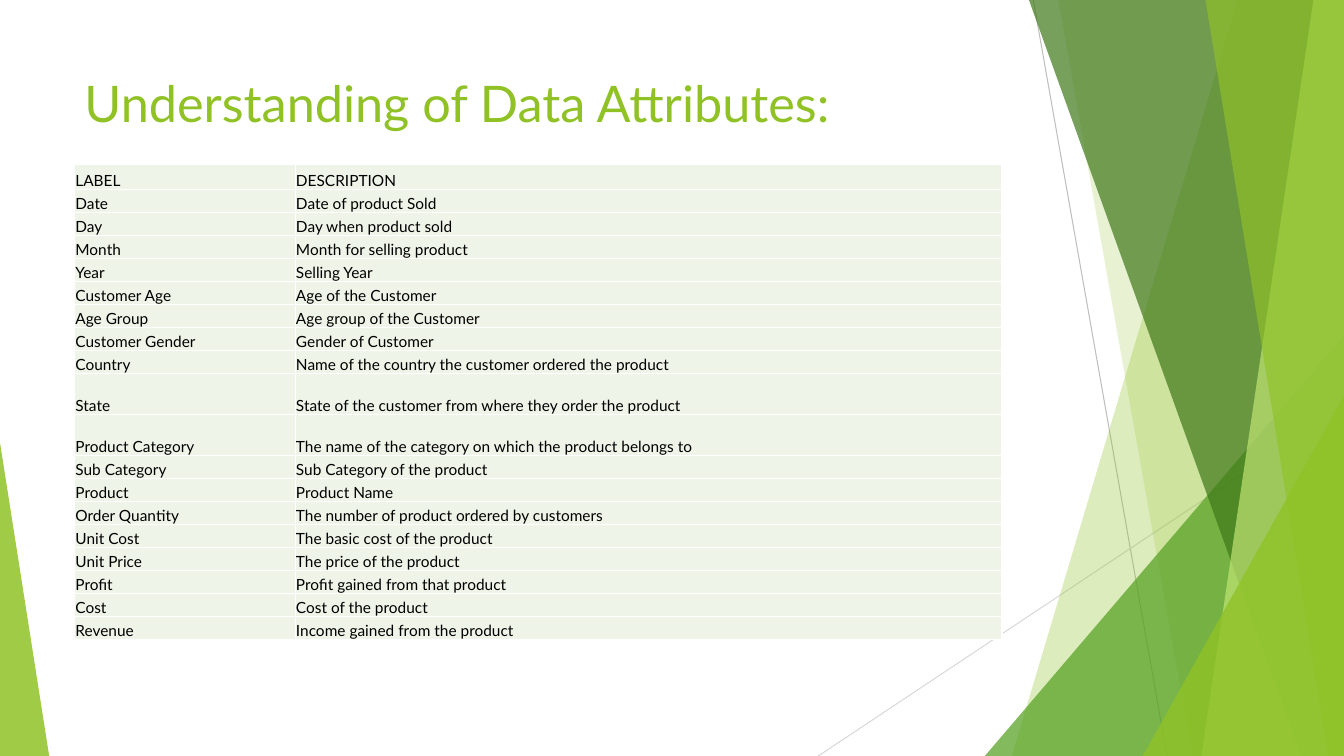
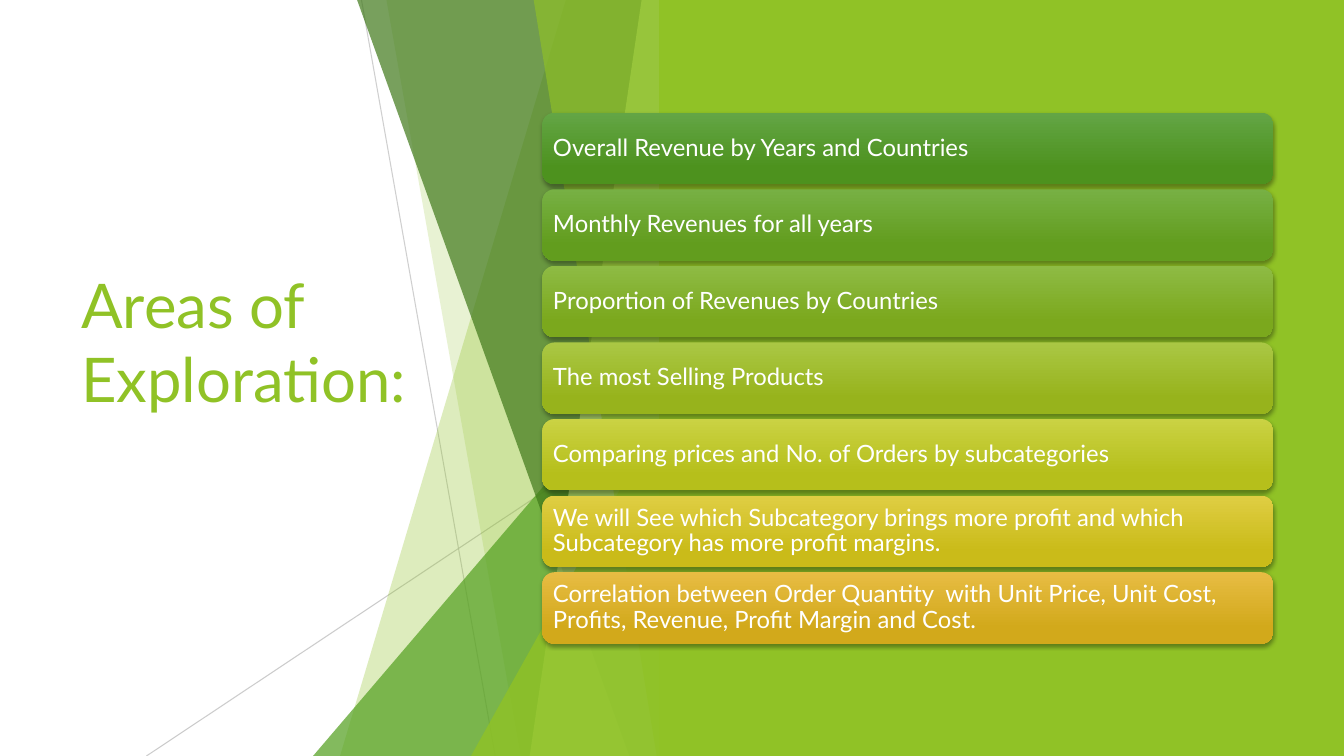
from dataclasses import dataclass

from lxml.etree import SubElement
from pptx import Presentation
from pptx.dml.color import RGBColor
from pptx.enum.shapes import MSO_CONNECTOR, MSO_SHAPE
from pptx.enum.text import MSO_ANCHOR
from pptx.oxml.ns import qn
from pptx.util import Cm, Pt


@dataclass(frozen=True)
class Theme:
    font: str = "Lato"
    lime: str = "90C226"
    leaf: str = "54A021"
    forest: str = "3F7819"
    pale: str = "C0E474"
    white: str = "FFFFFF"
    black: str = "000000"
    row: str = "EEF4E8"
    gray: str = "BFBFBF"
    light_gray: str = "D9D9D9"
    title_size: int = 36
    side_title_size: int = 44
    table_size: int = 11
    card_size: int = 17


theme = Theme()


def paint(fill, color, opacity=100):
    fill.solid()
    fill.fore_color.rgb = RGBColor.from_string(color)
    if opacity < 100:
        tint = fill._xPr.find(".//" + qn("a:srgbClr"))
        SubElement(tint, qn("a:alpha"), val=str(opacity * 1000))


def write(frame, text, size, color, anchor):
    frame.text = text
    frame.word_wrap = True
    frame.vertical_anchor = anchor
    font = frame.paragraphs[0].runs[0].font
    font.name = theme.font
    font.size = Pt(size)
    font.color.rgb = RGBColor.from_string(color)


deck = Presentation()
deck.slide_width, deck.slide_height = Cm(33.87), Cm(19.05)
blank = deck.slide_layouts[6]
attributes_slide = deck.slides.add_slide(blank)
areas_slide = deck.slides.add_slide(blank)

right, bottom = 33.87, 19.05
rays = [(26.04, 0, 29.41, bottom), (right, 10.24, 20.62, bottom)]
facets = [
    ("band", 31.19, 25.50, theme.lime, 30),
    ("band", 26.67, 30.05, theme.lime, 20),
    ("corner", 8.46, 24.82, theme.leaf, 72),
    ("band", 25.93, 32.79, theme.forest, 70),
    ("band", 33.10, 30.28, theme.pale, 70),
    ("band", 30.38, 33.48, theme.lime, 65),
    ("corner", 9.98, 28.80, theme.lime, 80),
]
pages = [
    (attributes_slide, 0, [(theme.gray, 100), (theme.light_gray, 100)],
     "Understanding of Data Attributes:", (1.88, 1.70, 23.88, 3.66),
     theme.title_size, MSO_ANCHOR.TOP, 0.13),
    (areas_slide, 16.93, [(theme.gray, 75), (theme.gray, 80)],
     "Areas of Exploration:", (1.80, 3.84, 9.86, 11.38),
     theme.side_title_size, MSO_ANCHOR.MIDDLE, 1.99),
]

for slide, shift, ray_tints, heading, place, size, anchor, foot_margin in pages:
    title = slide.shapes.add_textbox(*map(Cm, place))
    write(title.text_frame, heading, size, theme.lime, anchor)
    title.text_frame.margin_bottom = Cm(foot_margin)

    for (x1, y1, x2, y2), tint in zip(rays, ray_tints):
        ray = slide.shapes.add_connector(
            MSO_CONNECTOR.STRAIGHT, Cm(x1 - shift), Cm(y1), Cm(x2 - shift), Cm(y2))
        ray.line.width = Pt(0.75)
        paint(ray.line.fill, *tint)
        SubElement(ray._element.spPr, qn("a:effectLst"))

    edge = right - shift
    for kind, start, foot, color, opacity in facets:
        if kind == "band":
            outline = slide.shapes.build_freeform(Cm(start - shift), 0)
            outline.add_line_segments([
                (Cm(edge), 0), (Cm(edge), Cm(bottom)), (Cm(foot - shift), Cm(bottom))])
            facet = outline.convert_to_shape()
        else:
            facet = slide.shapes.add_shape(
                MSO_SHAPE.ISOSCELES_TRIANGLE,
                Cm(foot - shift), Cm(start), Cm(right - foot), Cm(bottom - start))
            facet.adjustments[0] = 1
        paint(facet.fill, color, opacity)
        facet.line.fill.background()
        facet.shadow.inherit = False

left_corner = attributes_slide.shapes.add_shape(
    MSO_SHAPE.ISOSCELES_TRIANGLE, 0, Cm(11.15), Cm(1.24), Cm(7.9))
left_corner.adjustments[0] = 0
paint(left_corner.fill, theme.lime, 85)
left_corner.line.fill.background()
left_corner.shadow.inherit = False

attributes = [
    ("LABEL", "DESCRIPTION"),
    ("Date", "Date of product Sold"),
    ("Day", "Day when product sold"),
    ("Month", "Month for selling product"),
    ("Year", "Selling Year"),
    ("Customer Age", "Age of the Customer"),
    ("Age Group", "Age group of the Customer"),
    ("Customer Gender", "Gender of Customer"),
    ("Country", "Name of the country the customer ordered the product"),
    ("State", "State of the customer from where they order the product"),
    ("Product Category", "The name of the category on which the product belongs to"),
    ("Sub Category", "Sub Category of the product"),
    ("Product", "Product Name"),
    ("Order Quantity", "The number of product ordered by customers"),
    ("Unit Cost", "The basic cost of the product"),
    ("Unit Price", "The price of the product"),
    ("Profit", "Profit gained from that product"),
    ("Cost", "Cost of the product"),
    ("Revenue", "Income gained from the product"),
]
row_heights = {"LABEL": 0.64, "State": 1.03, "Product Category": 1.03}
glossary = attributes_slide.shapes.add_table(
    len(attributes), 2, Cm(1.88), Cm(4.14), Cm(23.37), Cm(11.98)).table
glossary.first_row = False
glossary.horz_banding = False
glossary.columns[0].width = Cm(5.56)
glossary.columns[1].width = Cm(17.81)
for row, entry in zip(glossary.rows, attributes):
    row.height = Cm(row_heights.get(entry[0], 0.58))
    for cell, text in zip(row.cells, entry):
        write(cell.text_frame, text, theme.table_size, theme.black, MSO_ANCHOR.BOTTOM)
        cell.vertical_anchor = MSO_ANCHOR.BOTTOM
        cell.margin_left = cell.margin_right = cell.margin_top = Cm(0.02)
        cell.margin_bottom = 0
        paint(cell.fill, theme.row)

panel = areas_slide.shapes.add_shape(
    MSO_SHAPE.RECTANGLE, Cm(16.61), 0, Cm(17.26), Cm(bottom))
paint(panel.fill, theme.lime)
panel.line.fill.background()
panel.shadow.inherit = False

areas = [
    ("Overall Revenue by Years and Countries", "63A545", "4D921E"),
    ("Monthly Revenues for all years", "77B044", "629D1E"),
    ("Proportion of Revenues by Countries", "8EBB44", "7BA81D"),
    ("The most Selling Products", "AAC744", "97B31C"),
    ("Comparing prices and No. of Orders by subcategories", "CAD243", "B6BF1B"),
    ("We will See which Subcategory brings more profit and which "
     "Subcategory has more profit margins.", "DFCE43", "CABB19"),
    ("Correlation between Order Quantity  with Unit Price, Unit Cost, "
     "Profits, Revenue, Profit Margin and Cost.", "E7BC43", "D2A91B"),
]
for index, (text, upper, lower) in enumerate(areas):
    card = areas_slide.shapes.add_shape(
        MSO_SHAPE.ROUNDED_RECTANGLE,
        Cm(13.67), Cm(2.84 + index * 1.93), Cm(18.42), Cm(1.8))
    card.fill.gradient()
    card.fill.gradient_angle = 270
    for stop, color, position in zip(card.fill.gradient_stops, (upper, lower), (0, 0.78)):
        stop.color.rgb = RGBColor.from_string(color)
        stop.position = position
    card.line.fill.background()
    card.shadow.inherit = False
    effects = card._element.spPr.find(qn("a:effectLst"))
    shade = SubElement(effects, qn("a:outerShdw"), blurRad=str(Pt(3)), dist=str(Pt(2)),
                       dir="5400000", rotWithShape="0")
    shade_color = SubElement(shade, qn("a:srgbClr"), val=theme.black)
    SubElement(shade_color, qn("a:alpha"), val="35000")
    frame = card.text_frame
    write(frame, text, theme.card_size, theme.white, MSO_ANCHOR.MIDDLE)
    frame.margin_left = frame.margin_right = Cm(0.18)
    frame.margin_top = frame.margin_bottom = Cm(0.18)
    frame.paragraphs[0].line_spacing = 0.9
    frame.paragraphs[0].alignment = 1

deck.save("out.pptx")
